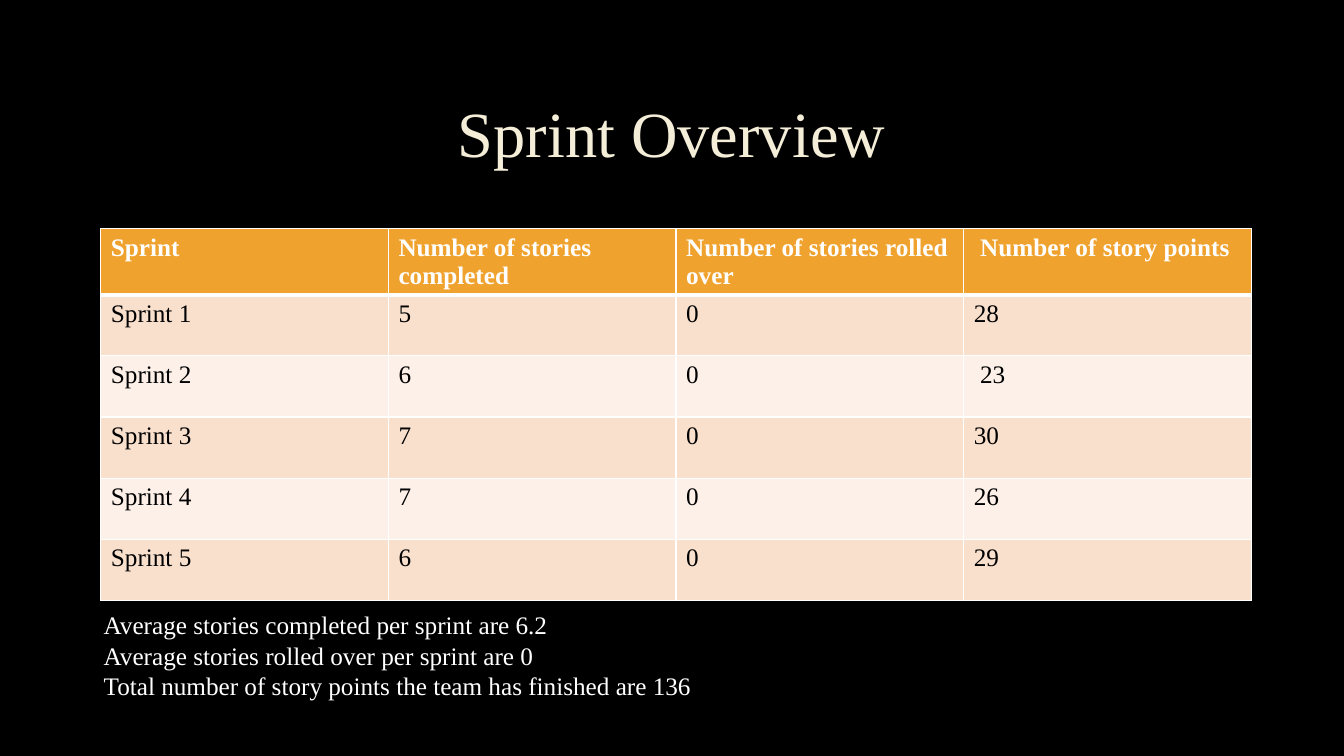
from lxml.etree import SubElement
from pptx import Presentation
from pptx.dml.color import RGBColor
from pptx.enum.text import MSO_ANCHOR, PP_ALIGN
from pptx.oxml.ns import qn
from pptx.util import Inches, Pt

# Content
TITLE = "Sprint Overview"
HEADERS = ["Sprint", "Number of stories completed",
           "Number of stories rolled over", " Number of story points"]
SPRINTS = [
    ("Sprint 1", "5", "0", "28"),
    ("Sprint 2", "6", "0", " 23"),
    ("Sprint 3", "7", "0", "30"),
    ("Sprint 4", "7", "0", "26"),
    ("Sprint 5", "6", "0", "29"),
]
SUMMARY = [
    "Average stories completed per sprint are 6.2",
    "Average stories rolled over per sprint are 0",
    "Total number of story points the team has finished are 136",
]

# Style
FONT = "Times New Roman"
BLACK = RGBColor(0x00, 0x00, 0x00)
WHITE = RGBColor(0xFF, 0xFF, 0xFF)
CREAM = RGBColor(0xF4, 0xED, 0xD8)
ORANGE = RGBColor(0xF0, 0xA2, 0x2E)
BANDS = [RGBColor(0xF9, 0xE0, 0xCD), RGBColor(0xFC, 0xF0, 0xE8)]

# Grid, in inches
TABLE_LEFT, TABLE_TOP = 1, 2.27
COLUMN_WIDTH, HEADER_HEIGHT, ROW_HEIGHT = 2.853, 0.62, 0.607


def write_text(frame, *lines, size=18, color=WHITE, bold=False,
               align=PP_ALIGN.LEFT, spacing=None):
    for index, line in enumerate(lines):
        paragraph = frame.paragraphs[0] if index == 0 else frame.add_paragraph()
        paragraph.alignment = align
        paragraph.line_spacing = spacing
        run = paragraph.add_run()
        run.text = line
        run.font.name = FONT
        run.font.size = Pt(size)
        run.font.bold = bold
        run.font.color.rgb = color


def set_borders(cell, top=1, bottom=1):
    properties = cell._tc.get_or_add_tcPr()
    for side, width in (("L", 1), ("R", 1), ("T", top), ("B", bottom)):
        line = SubElement(properties, qn(f"a:ln{side}"), w=str(Pt(width)))
        fill = SubElement(line, qn("a:solidFill"))
        SubElement(fill, qn("a:srgbClr"), val=str(WHITE))


def add_sprint_table(slide):
    rows = [HEADERS, *SPRINTS]
    height = HEADER_HEIGHT + ROW_HEIGHT * len(SPRINTS)
    table = slide.shapes.add_table(
        len(rows), len(HEADERS), Inches(TABLE_LEFT), Inches(TABLE_TOP),
        Inches(COLUMN_WIDTH * len(HEADERS)), Inches(height)).table
    for column in table.columns:
        column.width = Inches(COLUMN_WIDTH)
    for row_index, values in enumerate(rows):
        header = row_index == 0
        table.rows[row_index].height = Inches(HEADER_HEIGHT if header else ROW_HEIGHT)
        for column_index, value in enumerate(values):
            cell = table.cell(row_index, column_index)
            set_borders(cell, top=3 if row_index == 1 else 1, bottom=3 if header else 1)
            cell.fill.solid()
            cell.fill.fore_color.rgb = ORANGE if header else BANDS[(row_index - 1) % 2]
            write_text(cell.text_frame, value, color=WHITE if header else BLACK, bold=header)


def main():
    presentation = Presentation()
    presentation.slide_width = Inches(13.33)
    presentation.slide_height = Inches(7.5)
    slide = presentation.slides.add_slide(presentation.slide_layouts.get_by_name("Title Only"))
    slide.background.fill.solid()
    slide.background.fill.fore_color.rgb = BLACK

    # Title
    title = slide.shapes.title
    title.left, title.top = Inches(1), Inches(0.67)
    title.width, title.height = Inches(11.32), Inches(1.38)
    title.text_frame.vertical_anchor = MSO_ANCHOR.MIDDLE
    write_text(title.text_frame, TITLE, size=46, color=CREAM,
               align=PP_ALIGN.CENTER, spacing=0.9)

    # Sprint figures
    add_sprint_table(slide)

    # Summary below the table
    summary = slide.shapes.add_textbox(Inches(0.93), Inches(6), Inches(6.54), Inches(1.01))
    summary.text_frame.word_wrap = True
    write_text(summary.text_frame, *SUMMARY)

    presentation.save("out.pptx")


if __name__ == "__main__":
    main()
